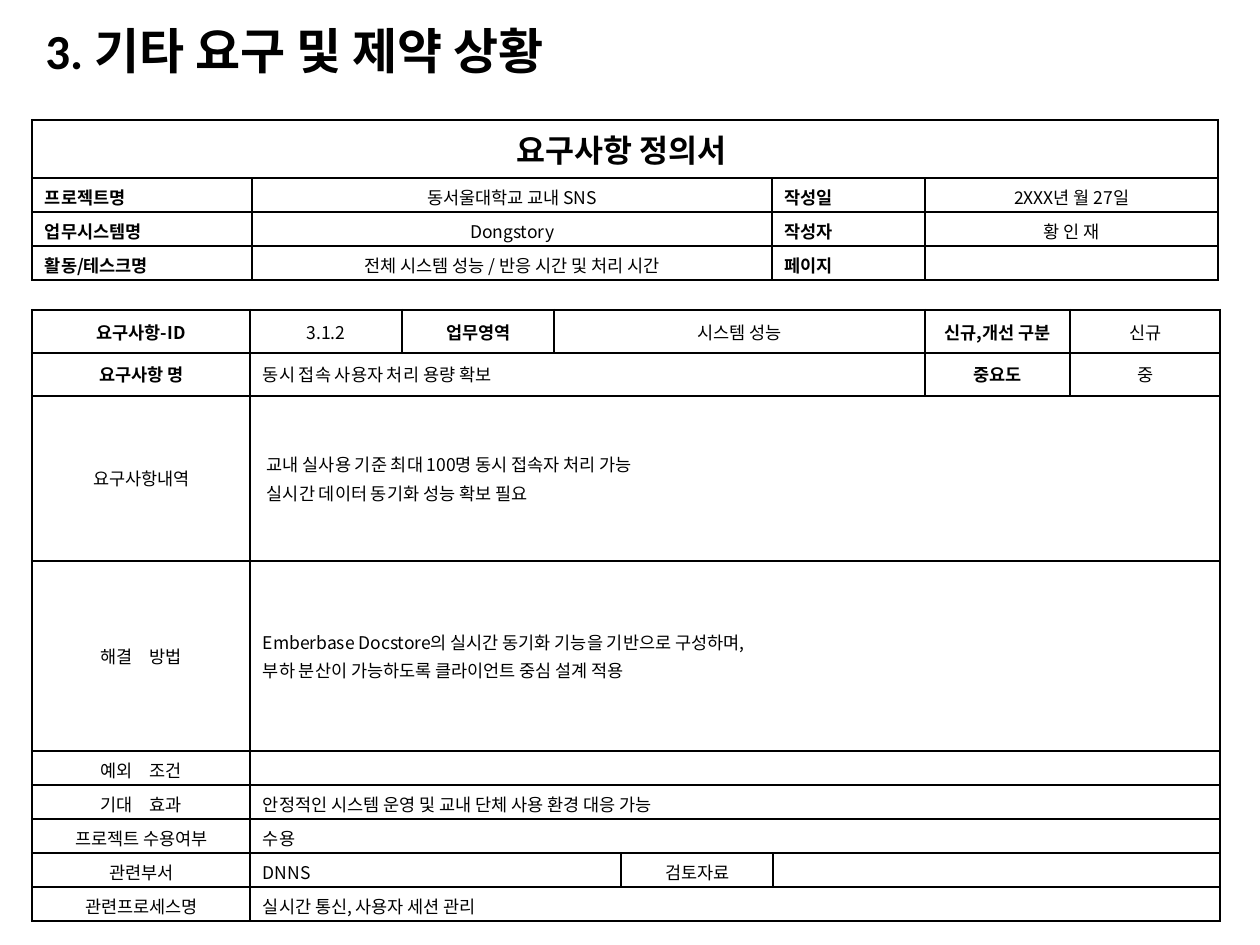
from dataclasses import dataclass

from lxml.etree import SubElement
from pptx import Presentation
from pptx.dml.color import RGBColor
from pptx.enum.text import MSO_ANCHOR, PP_ALIGN
from pptx.oxml.ns import qn
from pptx.util import Emu, Pt

COLORS = {"ink": "000000"}
EMU_PER_PX = 914400 / 126
KOREAN_FONT = "Noto Sans CJK KR"
PLAIN_STYLE = "{2D5ABB26-0587-4C30-8999-92F81FD0307C}"
THICK, THIN = 1.5, 1
CENTER, LEFT, JUSTIFY = PP_ALIGN.CENTER, PP_ALIGN.LEFT, PP_ALIGN.JUSTIFY


@dataclass(frozen=True)
class Entry:
    text: str
    span: int = 1
    align: PP_ALIGN = CENTER
    bold: bool = False
    size: int = 10
    inset: int = 13


@dataclass(frozen=True)
class Form:
    left: int
    top: int
    columns: list[int]
    heights: list[int]
    rows: list[list[Entry]]
    anchors: list[MSO_ANCHOR]
    thick_rules: set[int]


def px(length: int) -> Emu:
    return Emu(round(length * EMU_PER_PX))


def label(text: str, align: PP_ALIGN = CENTER) -> Entry:
    return Entry(text, align=align, bold=True)


def detail(text: str, span: int = 7, inset: int = 13) -> Entry:
    return Entry(text, span, LEFT, inset=inset)


def style_run(run, size: int, bold: bool, latin: str = KOREAN_FONT) -> None:
    run.font.size = Pt(size)
    run.font.bold = bold
    run.font.name = latin
    run.font.color.rgb = RGBColor.from_string(COLORS["ink"])
    SubElement(run.font._element, qn("a:ea"), typeface=KOREAN_FONT)


def set_borders(cell, widths: dict[str, float]) -> None:
    properties = cell._tc.get_or_add_tcPr()
    for side, width in widths.items():
        line = SubElement(properties, qn(f"a:ln{side}"), w=str(Pt(width)))
        fill = SubElement(line, qn("a:solidFill"))
        SubElement(fill, qn("a:srgbClr"), val=COLORS["ink"])


def fill_cell(cell, entry: Entry, anchor: MSO_ANCHOR) -> None:
    cell.vertical_anchor = anchor
    cell.margin_left = px(entry.inset)
    cell.text_frame.text = entry.text
    for index, paragraph in enumerate(cell.text_frame.paragraphs):
        paragraph.alignment = entry.align
        if index:
            paragraph.space_before = Pt(2)
        for run in paragraph.runs:
            style_run(run, entry.size, entry.bold)
        if not paragraph.runs:
            SubElement(paragraph._p, qn("a:endParaRPr"), sz=str(entry.size * 100))


def draw_form(slide, form: Form) -> None:
    row_count, column_count = len(form.heights), len(form.columns)
    table = slide.shapes.add_table(
        row_count, column_count, px(form.left), px(form.top),
        px(sum(form.columns)), px(sum(form.heights)),
    ).table
    table.first_row = table.horz_banding = False
    table._tbl.tblPr.find(qn("a:tableStyleId")).text = PLAIN_STYLE
    for column, width in zip(table.columns, form.columns):
        column.width = px(width)
    for row, height in zip(table.rows, form.heights):
        row.height = px(height)

    for row, entries in enumerate(form.rows):
        start = 0
        for entry in entries:
            end = start + entry.span
            borders = {
                "L": THIN if start else THICK,
                "R": THICK if end == column_count else THIN,
                "T": THICK if row in form.thick_rules else THIN,
                "B": THICK if row + 1 in form.thick_rules else THIN,
            }
            for column in range(start, end):
                cell = table.cell(row, column)
                set_borders(cell, borders)
                cell.fill.background()
            lead = table.cell(row, start)
            if entry.span > 1:
                lead.merge(table.cell(row, end - 1))
            fill_cell(lead, entry, form.anchors[row])
            start = end


def draw_title(slide, text: str) -> None:
    title = slide.shapes.add_textbox(px(33), px(26), px(675), px(55)).text_frame
    title.word_wrap = True
    title.vertical_anchor = MSO_ANCHOR.MIDDLE
    title.text = text
    heading = title.paragraphs[0]
    heading.line_spacing = 0.9
    style_run(heading.runs[0], 28, True, "Calibri")


REQUIREMENT = Form(
    left=32,
    top=310,
    columns=[218, 152, 152, 67, 152, 152, 145, 150],
    heights=[43, 43, 165, 190] + [34] * 5,
    rows=[
        [label("요구사항-ID"), Entry("3.1.2"), label("업무영역"),
         Entry("시스템 성능", 3), label("신규,개선 구분"), Entry("신규")],
        [label("요구사항 명"), detail("동시 접속 사용자 처리 용량 확보", 5),
         label("중요도"), Entry("중")],
        [Entry("요구사항내역"),
         detail("교내 실사용 기준 최대 100명 동시 접속자 처리 가능\n"
                "실시간 데이터 동기화 성능 확보 필요", inset=17)],
        [Entry("해결　방법"),
         detail("Emberbase Docstore의 실시간 동기화 기능을 기반으로 구성하며,\n"
                "부하 분산이 가능하도록 클라이언트 중심 설계 적용")],
        [Entry("예외　조건"), detail("")],
        [Entry("기대　효과"), detail("안정적인 시스템 운영 및 교내 단체 사용 환경 대응 가능")],
        [Entry("프로젝트 수용여부"), detail("수용")],
        [Entry("관련부서"), detail("DNNS", 3), Entry("검토자료"), detail("", 3)],
        [Entry("관련프로세스명"), detail("실시간 통신, 사용자 세션 관리")],
    ],
    anchors=[MSO_ANCHOR.MIDDLE] * 9,
    thick_rules={0, 1, 2, 9},
)

DOCUMENT_INFO = Form(
    left=32,
    top=120,
    columns=[220, 520, 153, 293],
    heights=[58] + [34] * 3,
    rows=[
        [Entry("요구사항 정의서 ", 4, bold=True, size=18)],
        [label("프로젝트명", JUSTIFY), Entry("동서울대학교 교내 SNS"),
         label("작성일", JUSTIFY), Entry("2XXX년 월 27일")],
        [label("업무시스템명", JUSTIFY), Entry("Dongstory"),
         label("작성자", JUSTIFY), Entry("황 인 재")],
        [label("활동/테스크명", JUSTIFY), Entry("전체 시스템 성능 / 반응 시간 및 처리 시간"),
         label("페이지", JUSTIFY), Entry("")],
    ],
    anchors=[MSO_ANCHOR.MIDDLE] + [MSO_ANCHOR.TOP] * 3,
    thick_rules={0, 4},
)


def main() -> None:
    presentation = Presentation()
    presentation.slide_width = px(1260)
    presentation.slide_height = px(945)
    slide = presentation.slides.add_slide(presentation.slide_layouts[6])
    draw_title(slide, "3. 기타 요구 및 제약 상황")
    for form in (REQUIREMENT, DOCUMENT_INFO):
        draw_form(slide, form)
    presentation.save("out.pptx")


if __name__ == "__main__":
    main()
